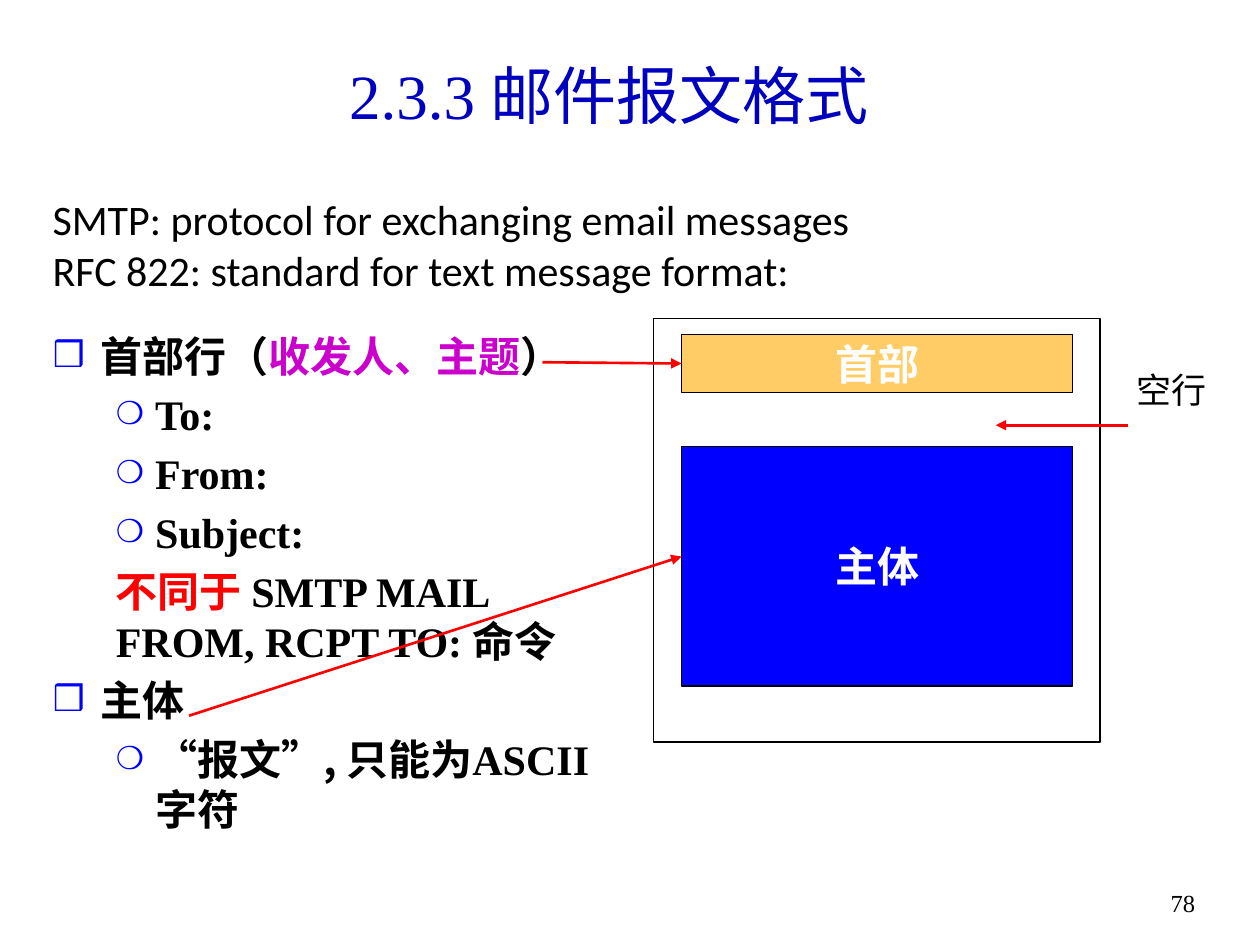
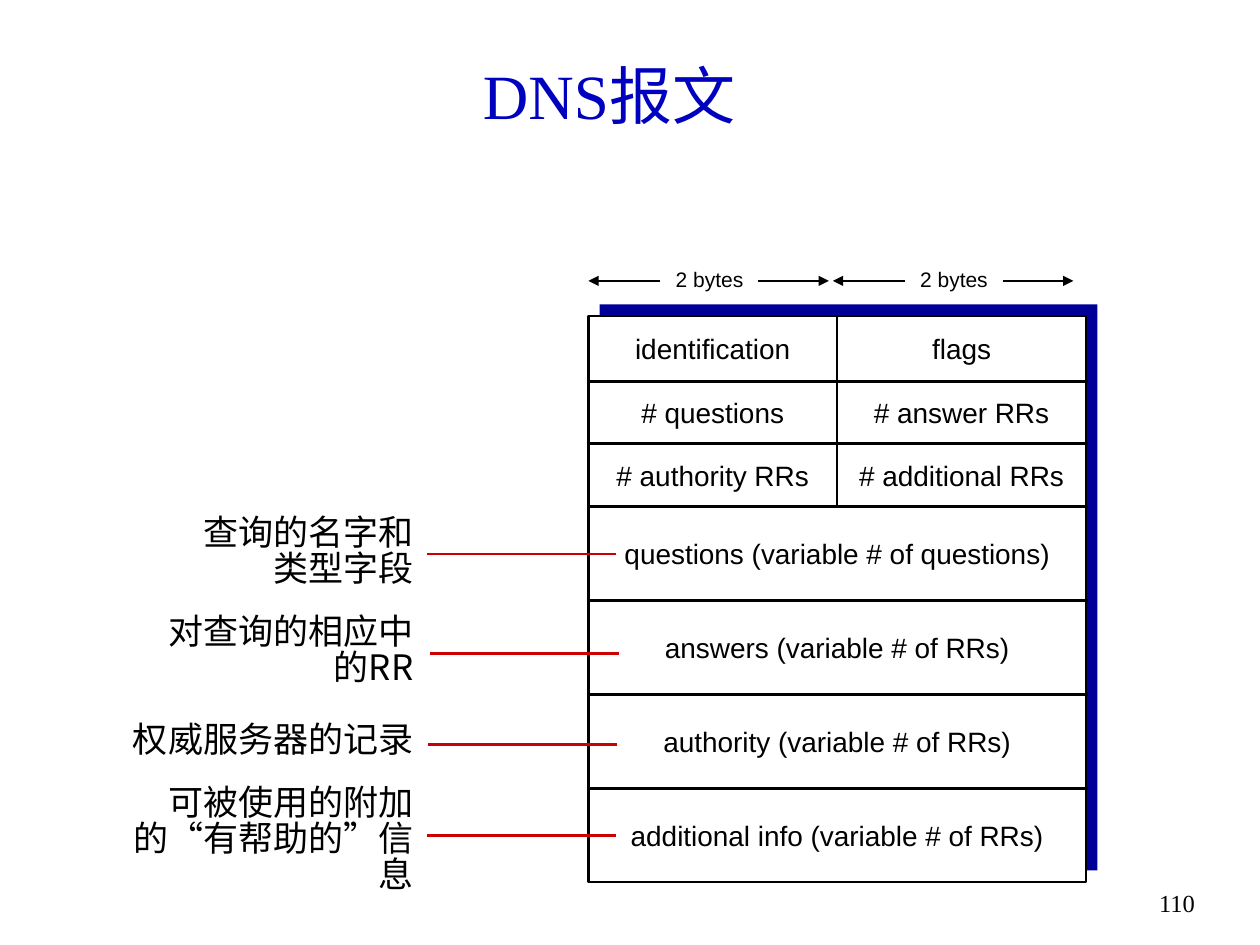
from itertools import accumulate, pairwise

from lxml.etree import SubElement
from pptx import Presentation
from pptx.dml.color import RGBColor
from pptx.enum.shapes import MSO_CONNECTOR, MSO_SHAPE
from pptx.enum.text import MSO_ANCHOR, MSO_AUTO_SIZE, PP_ALIGN
from pptx.oxml.ns import qn
from pptx.util import Pt

BLACK = RGBColor(0x00, 0x00, 0x00)
WHITE = RGBColor(0xFF, 0xFF, 0xFF)
TITLE_BLUE = RGBColor(0x00, 0x00, 0xBF)
BLUE = RGBColor(0x00, 0x00, 0xFF)
NAVY = RGBColor(0x00, 0x00, 0x99)
RED = RGBColor(0xFF, 0x00, 0x00)
DARK_RED = RGBColor(0xCC, 0x00, 0x00)
MAGENTA = RGBColor(0xCC, 0x00, 0xCC)
ORANGE = RGBColor(0xFF, 0xCC, 0x66)

SERIF = "Times New Roman"
CHINESE = "Noto Sans CJK SC"
COMIC = "Comic Neue"

# Bullet style: character, size in percent, left margin, first-line indent
SQUARE = ("❒", 85, 27, -27)
CIRCLE = ("❍", 75, 58.5, -22.5)
PLAIN = (None, None, 36, 0)


def set_font(paragraph, name, size, color=BLACK, bold=False):
    """Format a whole paragraph, with one face for its Chinese characters."""
    font = paragraph.font
    font.name, font.size, font.bold = name, Pt(size), bold
    font.color.rgb = color
    defaults = paragraph._p.pPr.find(qn("a:defRPr"))
    SubElement(defaults, qn("a:ea")).set("typeface", CHINESE)


def add_text(slide, box, text, name, size, align=PP_ALIGN.LEFT,
             anchor=MSO_ANCHOR.TOP, wrap=True, line_spacing=None):
    shape = slide.shapes.add_textbox(*map(Pt, box))
    frame = shape.text_frame
    frame.word_wrap = wrap
    frame.vertical_anchor = anchor
    frame.text = text
    for paragraph in frame.paragraphs:
        paragraph.alignment = align
        if line_spacing:
            paragraph.line_spacing = line_spacing
        set_font(paragraph, name, size)
    return shape


def add_box(slide, box, fill=None, line=None, line_width=0.75, text=None):
    shape = slide.shapes.add_shape(MSO_SHAPE.RECTANGLE, *map(Pt, box))
    shape.shadow.inherit = False
    if fill is None:
        shape.fill.background()
    else:
        shape.fill.solid()
        shape.fill.fore_color.rgb = fill
    if line is None:
        shape.line.fill.background()
    else:
        shape.line.color.rgb = line
        shape.line.width = Pt(line_width)
    if text:
        frame = shape.text_frame
        frame.text = text
        frame.word_wrap = False
        frame.vertical_anchor = MSO_ANCHOR.MIDDLE
        frame.paragraphs[0].alignment = PP_ALIGN.CENTER
        set_font(frame.paragraphs[0], COMIC, 24, WHITE, True)
    return shape


def add_line(slide, start, end, color=BLACK, width=1.5, arrow=False):
    line = slide.shapes.add_connector(
        MSO_CONNECTOR.STRAIGHT, *map(Pt, (*start, *end)))
    line.line.color.rgb = color
    line.line.width = Pt(width)
    properties = line._element.spPr
    if arrow:
        SubElement(properties.find(qn("a:ln")), qn("a:tailEnd")).set("type", "triangle")
    SubElement(properties, qn("a:effectLst"))
    return line


def place(placeholder, box):
    placeholder.left, placeholder.top, placeholder.width, placeholder.height = map(Pt, box)
    placeholder.text_frame.auto_size = MSO_AUTO_SIZE.NONE


def add_slide(presentation, layout_index, title, number):
    slide = presentation.slides.add_slide(presentation.slide_layouts[layout_index])
    shape = slide.shapes.title
    place(shape, (42, 18, 612, 72))
    shape.text_frame.text = title
    shape.text_frame.vertical_anchor = MSO_ANCHOR.MIDDLE
    paragraph = shape.text_frame.paragraphs[0]
    paragraph.alignment = PP_ALIGN.CENTER
    set_font(paragraph, SERIF, 36, TITLE_BLUE)
    add_text(slide, (654, 504, 36, 36), number, SERIF, 14, PP_ALIGN.RIGHT, wrap=False)
    return slide


def set_bullet(paragraph, style):
    character, percent, margin, indent = style
    properties = paragraph._p.get_or_add_pPr()
    properties.set("marL", str(Pt(margin)))
    properties.set("indent", str(Pt(indent)))
    if character is None:
        SubElement(properties, qn("a:buNone"))
        return
    color = SubElement(properties, qn("a:buClr"))
    SubElement(color, qn("a:srgbClr")).set("val", str(BLUE))
    SubElement(properties, qn("a:buSzPct")).set("val", str(percent * 1000))
    SubElement(properties, qn("a:buChar")).set("char", character)


def fill_list(placeholder, items):
    """Each item is a bullet style and its runs of (text, color, font)."""
    frame = placeholder.text_frame
    for index, (style, runs) in enumerate(items):
        paragraph = frame.add_paragraph() if index else frame.paragraphs[0]
        paragraph.level = 0 if style is SQUARE else 1
        paragraph.space_before = Pt(4.8 if index else 0)
        set_bullet(paragraph, style)
        set_font(paragraph, SERIF, 24, bold=True)
        for text, color, font_name in runs:
            run = paragraph.add_run()
            run.text = text
            if color != BLACK:
                run.font.color.rgb = color
            if font_name != SERIF:
                run.font.name = font_name


def build_mail_format(presentation):
    slide = add_slide(presentation, 1, "2.3.3 邮件报文格式", "78")
    body = slide.placeholders[1]
    place(body, (23, 185, 330.5, 268))
    fill_list(body, [
        (SQUARE, [("首部行（", BLACK, SERIF), ("收发人、主题", MAGENTA, SERIF),
                  ("）", BLACK, SERIF)]),
        *[(CIRCLE, [(field, BLACK, SERIF)]) for field in ("To:", "From:", "Subject:")],
        (PLAIN, [("不同于 ", RED, SERIF),
                 ("SMTP MAIL FROM, RCPT TO: 命令", BLACK, SERIF)]),
        (SQUARE, [("主体", BLACK, SERIF)]),
        (CIRCLE, [("“报文”, ", BLACK, CHINESE), ("只能为ASCII 字符", BLACK, SERIF)]),
    ])

    header = add_box(slide, (389.5, 191, 223.5, 33.5), ORANGE, BLACK, text="首部")
    add_box(slide, (389.5, 255, 223.5, 137), BLUE, BLACK, text="主体")
    add_box(slide, (373.5, 182, 255, 242), line=BLACK, line_width=1)

    header_arrow = add_line(slide, (310, 207), (389.5, 207), RED, arrow=True)
    header_arrow.end_connect(header, 1)
    add_line(slide, (108, 409), (389.5, 318), RED, arrow=True)
    add_line(slide, (644.5, 243), (569, 243), RED, arrow=True)
    add_text(slide, (642, 207, 55, 31), "空行", COMIC, 20, PP_ALIGN.CENTER, wrap=False)
    add_text(slide, (23, 107.3, 482, 65.5),
             "SMTP: protocol for exchanging email messages\n"
             "RFC 822: standard for text message format:", "Calibri", 24)


def add_message_table(slide, left, top, width):
    rows = [
        (37.5, ["identification", "flags"]),
        (35.5, ["# questions", "# answer RRs"]),
        (36, ["# authority RRs", "# additional RRs"]),
        (53.5, ["questions (variable # of questions)"]),
        (54, ["answers (variable # of RRs)"]),
        (53.5, ["authority (variable # of RRs)"]),
        (53.5, ["additional info (variable # of RRs)"]),
    ]
    edges = list(accumulate((height for height, _ in rows), initial=top))
    height = edges[-1] - top
    add_box(slide, (left + 6.5, top - 6.5, width, height), NAVY)
    add_box(slide, (left, top, width, height), WHITE, BLACK, 1.5)
    for edge in edges[1:-1]:
        add_line(slide, (left - 1, edge), (left + width + 1, edge))
    middle = left + width / 2
    add_line(slide, (middle, top), (middle, edges[3]))

    for (row_top, row_bottom), (_, labels) in zip(pairwise(edges), rows):
        cell_width = width / len(labels)
        for column, label in enumerate(labels):
            cell = (left + column * cell_width, row_top, cell_width, row_bottom - row_top)
            add_text(slide, cell, label, "Arial", 16, PP_ALIGN.CENTER,
                     MSO_ANCHOR.MIDDLE, wrap=False)


def add_byte_width(slide, left):
    """Draw a '2 bytes' dimension with an arrow to each side."""
    y = 160.5
    add_text(slide, (left + 42.5, 149, 53.5, 21.5), "2 bytes", "Arial", 12,
             PP_ALIGN.CENTER, wrap=False)
    add_line(slide, (left + 97, y), (left + 137.5, y), width=0.75, arrow=True)
    add_line(slide, (left + 41, y), (left, y), width=0.75, arrow=True)


def add_callout(slide, text, width, text_middle, line_left, line_y):
    add_text(slide, (243.4 - width, text_middle - 24, width, 48), text, CHINESE, 20,
             PP_ALIGN.RIGHT, MSO_ANCHOR.MIDDLE, line_spacing=0.85)
    add_line(slide, (line_left + 108, line_y), (line_left, line_y), DARK_RED)


def build_dns_message(presentation):
    slide = add_slide(presentation, 5, "DNS报文", "110")
    table_left = 336.2
    add_message_table(slide, table_left, 180.5, 284.4)
    for left in (table_left, table_left + 139.7):
        add_byte_width(slide, left)
    for callout in (
        ("查询的名字和类型字段", 144, 315.7, 244.2, 316.5),
        ("对查询的相应中的RR", 170.6, 372.6, 245.5, 373.5),
        ("权威服务器的记录", 180, 423.7, 244.8, 425.5),
        ("可被使用的附加的“有帮助的”信息", 176.4, 480.5, 244, 477.3),
    ):
        add_callout(slide, *callout)


def main():
    presentation = Presentation()
    presentation.slide_width, presentation.slide_height = Pt(720), Pt(540)
    build_mail_format(presentation)
    build_dns_message(presentation)
    presentation.save("out.pptx")


if __name__ == "__main__":
    main()
